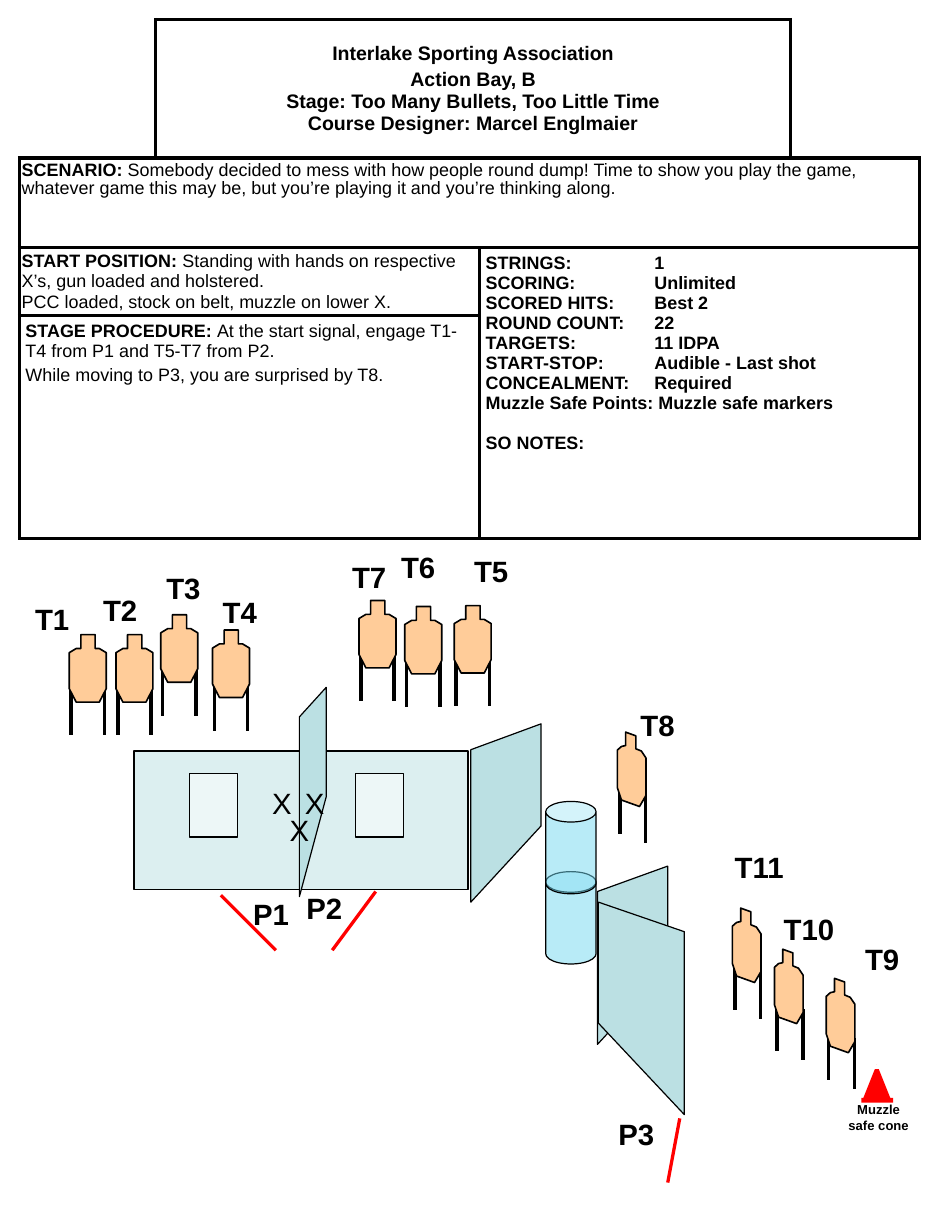
from lxml import etree
from pptx import Presentation
from pptx.dml.color import RGBColor
from pptx.enum.shapes import MSO_CONNECTOR, MSO_SHAPE
from pptx.enum.text import MSO_ANCHOR, PP_ALIGN
from pptx.oxml import parse_xml
from pptx.oxml.ns import nsdecls, qn
from pptx.util import Cm, Pt

STRAIGHT = MSO_CONNECTOR.STRAIGHT
RECTANGLE, CAN, TRIANGLE = MSO_SHAPE.RECTANGLE, MSO_SHAPE.CAN, MSO_SHAPE.ISOSCELES_TRIANGLE
MIDDLE, TOP = MSO_ANCHOR.MIDDLE, MSO_ANCHOR.TOP
LEFT, CENTER = PP_ALIGN.LEFT, PP_ALIGN.CENTER

COLORS = {"black": "000000", "white": "FFFFFF", "red": "FF0000",
          "wall": "BBE0E3", "barrel": "73D9F1", "target": "FFCC99"}


def paint(shape, fill, width=0.75, alpha=None):
    """Give a shape its fill and a black outline; width 0 means no outline."""
    shape.shadow.inherit = False
    shape.fill.solid()
    shape.fill.fore_color.rgb = RGBColor.from_string(COLORS[fill])
    if alpha:
        color = shape._element.spPr.find(qn("a:solidFill"))[0]
        etree.SubElement(color, qn("a:alpha")).set("val", str(alpha * 1000))
    if width:
        shape.line.color.rgb = RGBColor.from_string(COLORS["black"])
        shape.line.width = Pt(width)
    else:
        shape.line.fill.background()


def draw_line(shapes, ends, color, width):
    line = shapes.add_connector(STRAIGHT, *[Cm(value) for value in ends])
    line.line.color.rgb = RGBColor.from_string(COLORS[color])
    line.line.width = Pt(width)
    etree.SubElement(line._element.spPr, qn("a:effectLst"))


presentation = Presentation()
presentation.slide_width, presentation.slide_height = Cm(20.32), Cm(26.67)
slide = presentation.slides.add_slide(presentation.slide_layouts[6])
shapes = slide.shapes
texts = []  # (text frame, paragraphs of (text, bold) runs, format)

# Stage description table
column_widths = [2.95, 7.01, 6.73, 2.79]
row_heights = [3.0, 1.94, 1.47, 4.82]
table = shapes.add_table(4, 4, Cm(0.42), Cm(0.42), Cm(sum(column_widths)),
                         Cm(sum(row_heights))).table
table.first_row = table.horz_banding = False
for column, width in zip(table.columns, column_widths):
    column.width = Cm(width)
for row, height in zip(table.rows, row_heights):
    row.height = Cm(height)

corner_sides = {(0, 0): "RB", (0, 3): "LB"}
for row in range(4):
    for column in range(4):
        cell = table.cell(row, column)
        properties = cell._tc.get_or_add_tcPr()
        for side in "LRTB":
            if side in corner_sides.get((row, column), "LRTB"):
                properties.append(parse_xml(
                    f'<a:ln{side} {nsdecls("a")} w="28575"><a:solidFill><a:srgbClr '
                    f'val="{COLORS["black"]}"/></a:solidFill></a:ln{side}>'))
            else:
                properties.append(parse_xml(
                    f'<a:ln{side} {nsdecls("a")}><a:noFill/></a:ln{side}>'))
        cell.fill.solid()
        cell.fill.fore_color.rgb = RGBColor.from_string(COLORS["white"])

stage_facts = ["STRINGS:\t1", "SCORING:\tUnlimited", "SCORED HITS:\tBest 2",
               "ROUND COUNT:\t22", "TARGETS:\t11 IDPA",
               "START-STOP:\tAudible - Last shot", "CONCEALMENT:\tRequired",
               "Muzzle Safe Points: Muzzle safe markers", "SO NOTES:"]
# First cell, last cell, horizontal and vertical margin, anchor, paragraphs, format
sections = [
    ((0, 1), (0, 2), 0.13, 0.13, MIDDLE,
     [[("Interlake Sporting Association", True)],
      [("Action Bay, B\nStage: Too Many Bullets, Too Little Time\n"
        "Course Designer: Marcel Englmaier", True)]],
     {"size": 12, "align": CENTER, "before": 2.4}),
    ((1, 0), (1, 3), 0.05, 0.1, TOP,
     [[("SCENARIO: ", True),
       ("Somebody decided to mess with how people round dump! Time to show you play "
        "the game, whatever game this may be, but you’re playing it and you’re "
        "thinking along.", False)]],
     {"size": 11, "spacing": 0.9}),
    ((2, 0), (2, 1), 0.05, 0.08, TOP,
     [[("START POSITION: ", True),
       ("Standing with hands on respective X’s, gun loaded and holstered.", False)],
      [("PCC loaded, stock on belt, muzzle on lower X.", False)]],
     {"size": 11, "before": 0.5}),
    ((2, 2), (3, 3), 0.13, 0.13, TOP, [[(fact, True)] for fact in stage_facts],
     {"size": 11, "tab": 3.65, "last_before": 12.5}),
    ((3, 0), (3, 1), 0.13, 0.13, TOP,
     [[("STAGE PROCEDURE: ", True),
       ("At the start signal, engage T1-T4 from P1 and T5-T7 from P2.", False)],
      [("While moving to P3, you are surprised by T8.", False)]],
     {"size": 11, "before": 2.2}),
]
for first, last, side_margin, end_margin, anchor, paragraphs, text_format in sections:
    cell = table.cell(*first)
    cell.merge(table.cell(*last))
    cell.margin_left = cell.margin_right = Cm(side_margin)
    cell.margin_top = cell.margin_bottom = Cm(end_margin)
    cell.vertical_anchor = anchor
    texts.append((cell.text_frame, paragraphs, text_format))

# Firing lines
for ends in [(5.97, 20.57, 4.78, 19.38), (8.13, 19.3, 7.19, 20.57),
             (14.71, 24.21, 14.45, 25.6)]:
    draw_line(shapes, ends, "red", 2)

# Muzzle safe cone
cone = shapes.add_group_shape().shapes
for kind, box, fill in [(TRIANGLE, (18.67, 23.04, 0.61, 0.76), "red"),
                        (RECTANGLE, (18.85, 23.04, 0.3, 0.1), "white"),
                        (RECTANGLE, (18.64, 23.77, 0.69, 0.1), "red")]:
    paint(cone.add_shape(kind, *[Cm(value) for value in box]), fill, 0)
caption = cone.add_textbox(Cm(18.06), Cm(23.72), Cm(1.91), Cm(0.94))
caption.text_frame.word_wrap = True
texts.append((caption.text_frame, [[("Muzzle safe cone", True)]],
              {"size": 8, "align": CENTER}))

# Walls with windows, then barrels
for left, window_left in [(2.9, 4.11), (6.5, 7.7)]:
    wall = shapes.add_group_shape().shapes
    paint(wall.add_shape(RECTANGLE, Cm(left), Cm(16.26), Cm(3.63), Cm(3)), "wall", alpha=50)
    paint(wall.add_shape(RECTANGLE, Cm(window_left), Cm(16.75), Cm(1.04), Cm(1.37)),
          "white", alpha=50)
barrels = shapes.add_group_shape().shapes
for top in (18.87, 17.35):
    barrel = barrels.add_shape(CAN, Cm(11.81), Cm(top), Cm(1.09), Cm(2))
    barrel.adjustments[0] = 0.41
    paint(barrel, "barrel", alpha=50)

# Panels seen at an angle
for corners in [[(7.06, 17.25), (6.48, 19.41), (6.48, 15.52), (7.06, 14.88)],
                [(11.71, 17.88), (10.19, 19.53), (10.19, 16.23), (11.71, 15.67)],
                [(14.45, 20.96), (12.93, 22.61), (12.93, 19.3), (14.45, 18.75)],
                [(12.95, 22.15), (14.81, 24.13), (14.81, 20.17), (12.95, 19.53)]]:
    points = [(Cm(x), Cm(y)) for x, y in corners]
    builder = shapes.build_freeform(*points[0], scale=1.0)
    builder.add_line_segments(points[1:], close=True)
    paint(builder.convert_to_shape(), "wall")

# Targets: outline and legs (x, top, bottom) relative to each position
front = ([(0.25, 0), (0.56, 0), (0.56, 0.3), (0.65, 0.3), (0.8, 0.39), (0.8, 1.17),
          (0.65, 1.46), (0.15, 1.46), (0, 1.17), (0, 0.39), (0.15, 0.3), (0.25, 0.3)],
         [(0.04, 1.07, 2.18), (0.76, 1.07, 2.18)])
angled = ([(0.4, 0.08), (0.18, 0), (0.18, 0.29), (0.09, 0.31), (0, 0.39), (0, 1.2),
           (0.09, 1.47), (0.48, 1.61), (0.62, 1.37), (0.62, 0.56), (0.52, 0.41), (0.4, 0.36)],
          [(0.61, 1.3, 2.39), (0.05, 1.12, 2.21)])
front_places = [(1.5, 13.74), (2.51, 13.74), (3.48, 13.31), (4.6, 13.64),
                (7.77, 13), (8.76, 13.13), (9.83, 13.11)]
angled_places = [(13.36, 15.85), (15.85, 19.66), (16.76, 20.55), (17.88, 21.18)]
for (outline, legs), places in [(front, front_places), (angled, angled_places)]:
    for left, top in places:
        target = shapes.add_group_shape().shapes
        for x, start, end in legs:
            draw_line(target, (left + x, top + start, left + x, top + end), "black", 2.25)
        points = [(Cm(left + x), Cm(top + y)) for x, y in outline]
        builder = target.build_freeform(*points[0], scale=1.0)
        builder.add_line_segments(points[1:], close=True)
        paint(builder.convert_to_shape(), "target", 1)

# Labels of positions and targets, and the hand marks
label_widths = {1: 0.79, 2: 1.47, 3: 1.93}
for label, left, top in [
        ("P1", 5.23, 19.28), ("P2", 6.38, 19.15), ("P3", 13.13, 24.03),
        ("T1", 0.51, 12.9), ("T2", 1.98, 12.7), ("T3", 3.35, 12.22), ("T4", 4.57, 12.73),
        ("T5", 10.01, 11.86), ("T6", 8.43, 11.76), ("T7", 7.37, 11.99),
        ("T8", 13.61, 15.19), ("T9", 18.47, 20.24), ("T10", 16.71, 19.61),
        ("T11", 15.65, 18.26), ("X", 5.64, 16.87), ("X", 6.35, 16.87), ("X", 6.02, 17.45)]:
    box = shapes.add_textbox(Cm(left), Cm(top), Cm(label_widths[len(label)]), Cm(1.02))
    box.text_frame.word_wrap = True
    texts.append((box.text_frame, [[(label, label != "X")]], {"size": 18}))

# Write every text
for frame, paragraphs, text_format in texts:
    for number, runs in enumerate(paragraphs):
        paragraph = frame.add_paragraph() if number else frame.paragraphs[0]
        before = text_format.get("before", 0) if number else 0
        if number == len(paragraphs) - 1:
            before = text_format.get("last_before", before)
        for name, value in {"alignment": text_format.get("align", LEFT),
                            "line_spacing": text_format.get("spacing", 1.0),
                            "space_before": Pt(before)}.items():
            setattr(paragraph, name, value)
        if "tab" in text_format:
            tabs = etree.SubElement(paragraph._p.get_or_add_pPr(), qn("a:tabLst"))
            etree.SubElement(tabs, qn("a:tab"), pos=str(Cm(text_format["tab"])), algn="l")
        for text, bold in runs:
            for index, line in enumerate(text.split("\n")):
                if index:
                    paragraph.add_line_break()
                run = paragraph.add_run()
                run.text = line
                for name, value in {"name": "Arial", "size": Pt(text_format["size"]),
                                    "bold": bold}.items():
                    setattr(run.font, name, value)
                run.font.color.rgb = RGBColor.from_string(COLORS["black"])

presentation.save("out.pptx")
